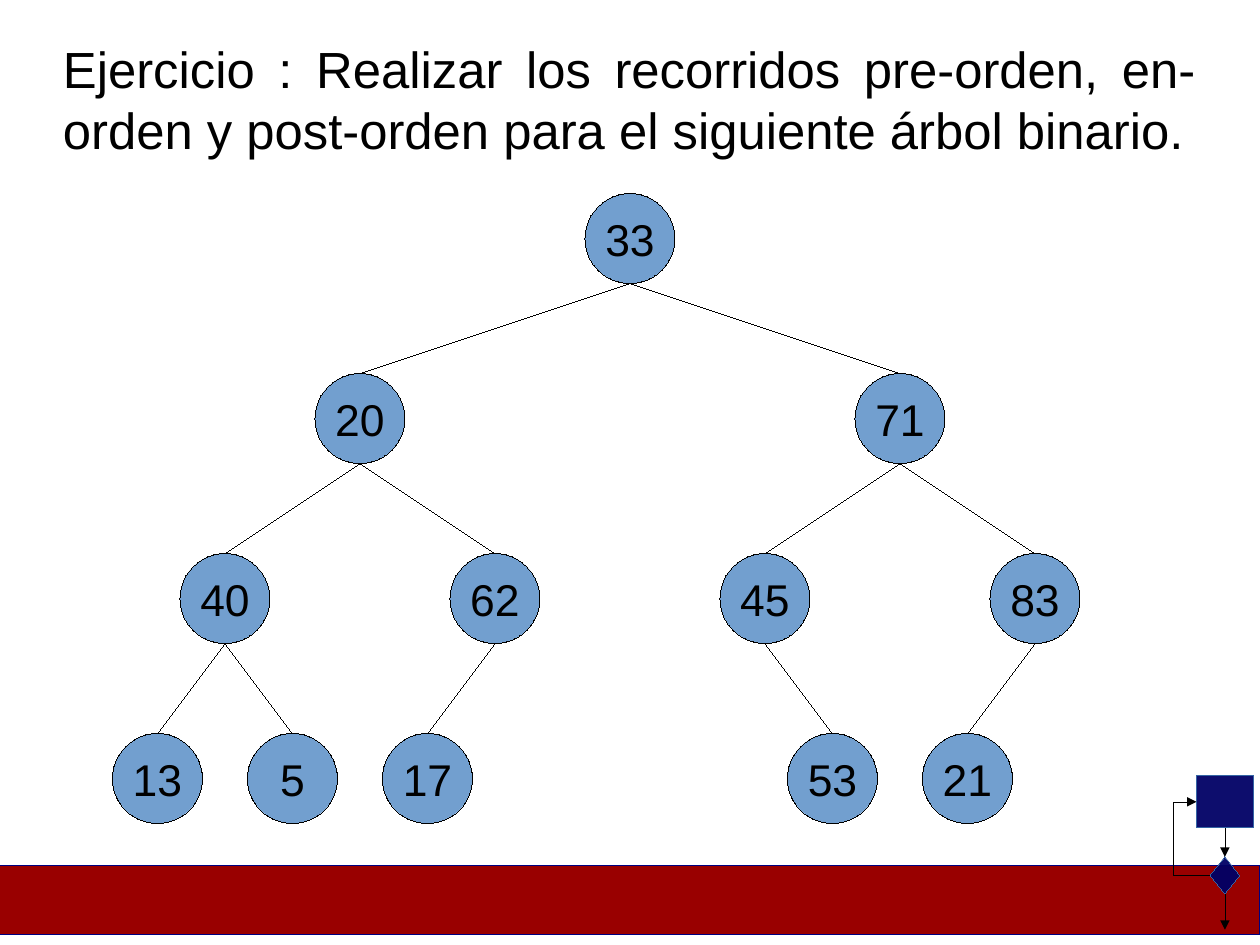
from lxml.etree import SubElement
from pptx import Presentation
from pptx.dml.color import RGBColor
from pptx.enum.shapes import MSO_CONNECTOR, MSO_SHAPE
from pptx.enum.text import MSO_ANCHOR, PP_ALIGN
from pptx.oxml.ns import qn
from pptx.util import Cm, Pt

# The slide is a grid of square cells; all lengths below are in cells
CELL = Cm(2)
COLS, ROWS = 14, 10.5
ROOT_TOP, LEVEL_PITCH = 2.15, 2

BLACK = RGBColor(0x00, 0x00, 0x00)
NODE_BLUE = RGBColor(0x72, 0x9F, 0xCF)
BAR_RED = RGBColor(0x99, 0x00, 0x00)
BAR_EDGE = RGBColor(0x00, 0x00, 0x80)
ICON_NAVY = RGBColor(0x00, 0x00, 0x66)
ICON_EDGE = RGBColor(0x34, 0x65, 0xA4)

TITLE = ("Ejercicio : Realizar los recorridos pre-orden, en-orden y post-orden "
         "para el siguiente árbol binario.")
# Each node is (value, left child, right child)
TREE = (33,
        (20,
         (40, (13, None, None), (5, None, None)),
         (62, (17, None, None), None)),
        (71,
         (45, None, (53, None, None)),
         (83, (21, None, None), None)))


def cells(*values):
    return [round(v * CELL) for v in values]


def set_hairline(line, color):
    """Set the zero width in XML, as line.width drops a zero."""
    line.color.rgb = color
    ln = line._get_or_add_ln()
    ln.set("w", "0")
    return ln


def add_figure(shapes, kind, box, fill, edge, opacity=None):
    s = shapes.add_shape(kind, *cells(*box))
    s.shadow.inherit = False
    s.fill.solid()
    s.fill.fore_color.rgb = fill
    set_hairline(s.line, edge)
    if opacity:
        color = s._element.spPr.find(qn("a:solidFill"))[0]
        SubElement(color, qn("a:alpha"), val=str(opacity * 1000))
    return s


def add_line(shapes, start, end, kind=MSO_CONNECTOR.STRAIGHT, arrow=False):
    c = shapes.add_connector(kind, *cells(*start, *end))
    ln = set_hairline(c.line, BLACK)
    if arrow:
        SubElement(ln, qn("a:tailEnd"), type="triangle")
    SubElement(c._element.spPr, qn("a:effectLst"))
    return c


def write(tf, text, size, align, **frame):
    for name, value in frame.items():
        setattr(tf, name, value)
    p = tf.paragraphs[0]
    p.alignment = align
    r = p.add_run()
    r.text = text
    r.font.name, r.font.size = "Arial", Pt(size)
    r.font.color.rgb = BLACK


def add_title(shapes):
    box = shapes.add_textbox(*cells(0.7, 0.42, 12.6, 1.35))
    write(box.text_frame, TITLE, 32, PP_ALIGN.JUSTIFY, word_wrap=True,
          margin_left=0, margin_right=0, margin_top=0, margin_bottom=0)


def add_tree(shapes, node, col=COLS / 2, row=ROOT_TOP, spread=3):
    """Draw a subtree centred on col, halving the spread at each level."""
    value, *children = node
    circle = add_figure(shapes, MSO_SHAPE.OVAL, (col - 0.5, row, 1, 1),
                        NODE_BLUE, BLACK)
    write(circle.text_frame, str(value), 28, PP_ALIGN.CENTER, word_wrap=False,
          vertical_anchor=MSO_ANCHOR.MIDDLE)
    for side, child in zip((-1, 1), children):
        if child:
            child_col, child_row = col + side * spread, row + LEVEL_PITCH
            add_line(shapes, (col, row + 1), (child_col, child_row))
            add_tree(shapes, child, child_col, child_row, spread / 2)


def add_flow_icon(shapes):
    """Draw the small flowchart loop in the lower right corner."""
    center, loop_col, exit_row = 13.61, 13.04, 10.33
    process_top, process_w, process_h = 8.62, 0.63, 0.58
    decision_top, decision_w, decision_h = 9.52, 0.33, 0.41
    decision_left = center - decision_w / 2
    process_left = center - process_w / 2
    decision = add_figure(shapes, MSO_SHAPE.FLOWCHART_DECISION,
                          (decision_left, decision_top, decision_w, decision_h),
                          ICON_NAVY, ICON_EDGE, 95)
    process = add_figure(shapes, MSO_SHAPE.FLOWCHART_PROCESS,
                         (process_left, process_top, process_w, process_h),
                         ICON_NAVY, ICON_EDGE, 95)

    down = add_line(shapes, (center, process_top + process_h),
                    (center, decision_top), arrow=True)
    down.begin_connect(process, 2)
    down.end_connect(decision, 0)

    loop = add_line(shapes, (decision_left, decision_top + decision_h / 2),
                    (process_left, process_top + process_h / 2),
                    MSO_CONNECTOR.ELBOW, arrow=True)
    bend = (decision_left - loop_col) / (decision_left - process_left)
    guides = loop._element.spPr.find(qn("a:prstGeom")).find(qn("a:avLst"))
    SubElement(guides, qn("a:gd"), name="adj1", fmla=f"val {round(bend * 100000)}")

    leave = add_line(shapes, (center, decision_top + decision_h),
                     (center, exit_row), arrow=True)
    leave.begin_connect(decision, 2)


def main():
    prs = Presentation()
    prs.slide_width, prs.slide_height = cells(COLS, ROWS)
    shapes = prs.slides.add_slide(prs.slide_layouts[6]).shapes
    add_figure(shapes, MSO_SHAPE.RECTANGLE, (0, 9.62, COLS, 0.76),
               BAR_RED, BAR_EDGE)
    add_flow_icon(shapes.add_group_shape().shapes)
    add_title(shapes)
    add_tree(shapes, TREE)
    prs.save("out.pptx")


if __name__ == "__main__":
    main()
